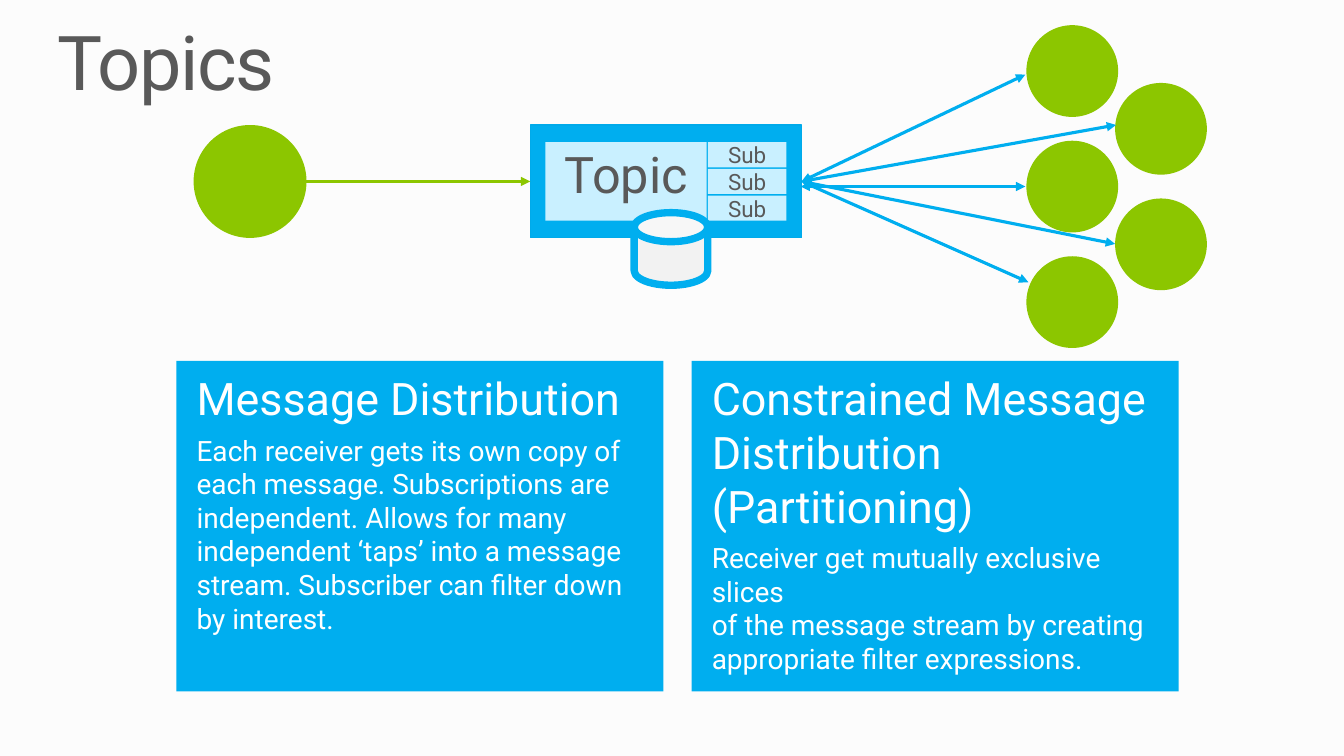
"""Build the Topics slide: a sender, a topic with subscriptions, and its receivers."""
from lxml import etree
from pptx import Presentation
from pptx.dml.color import RGBColor
from pptx.enum.shapes import MSO_CONNECTOR, MSO_SHAPE
from pptx.enum.text import MSO_ANCHOR, MSO_AUTO_SIZE, PP_ALIGN
from pptx.oxml.ns import qn
from pptx.util import Inches, Pt

RECT, OVAL, CAN = MSO_SHAPE.RECTANGLE, MSO_SHAPE.OVAL, MSO_SHAPE.CAN
STRAIGHT = MSO_CONNECTOR.STRAIGHT
LEFT, CENTER = PP_ALIGN.LEFT, PP_ALIGN.CENTER
TOP, MIDDLE = MSO_ANCHOR.TOP, MSO_ANCHOR.MIDDLE
LEFT_SIDE, RIGHT_SIDE = 1, 3

FONT = "Roboto"
BLUE, PALE, GREEN = "00AEEF", "C9F0FF", "8CC600"
GRAY, WHITE, PAPER, STORE = "595959", "FFFFFF", "FCFCFC", "F2F2F2"

TITLE = "Topics"
TOPIC = "Topic"
SUBSCRIPTIONS = ["Sub", "Sub", "Sub"]
CARDS = [
    ("Message Distribution",
     "Each receiver gets its own copy of each message. Subscriptions are independent. "
     "Allows for many independent ‘taps’ into a message stream. "
     "Subscriber can filter down by interest."),
    ("Constrained Message Distribution (Partitioning)",
     "Receiver get mutually exclusive slices \vof the message stream by creating "
     "appropriate filter expressions."),
]

TOPIC_BOX = (5.26, 1.24, 2.69, 1.12)
SENDER = (1.92, 1.24, 1.12, 1.12)
FLOW_Y = 1.8
RECEIVER_SIZE = 0.91
RECEIVER_COLUMNS = (10.18, 11.06)
RECEIVER_TOP, RECEIVER_STEP = 0.25, 0.573
ARROW_TIPS = [(10.17, 0.74), (11.07, 1.24), (10.17, 1.85), (11.06, 2.42), (10.2, 2.8)]
LEVEL_ARROW = 2
SUB_LEFT, SUB_TOP, SUB_STEP = 7.02, 1.41, 0.265
CARD_LEFT, CARD_TOP, CARD_STEP = 1.75, 3.58, 5.11


def color(value):
    return RGBColor.from_string(value)


def add_box(page, kind, place, fill, outline=None, width=0.75):
    box = page.shapes.add_shape(kind, *map(Inches, place))
    box.shadow.inherit = False
    box.fill.solid()
    box.fill.fore_color.rgb = color(fill)
    if outline:
        box.line.color.rgb = color(outline)
        box.line.width = Pt(width)
    else:
        box.line.fill.background()
    return box


def set_frame(shape, insets, anchor):
    frame = shape.text_frame
    frame.word_wrap = True
    frame.auto_size = MSO_AUTO_SIZE.NONE
    frame.vertical_anchor = anchor
    frame.margin_left, frame.margin_top, frame.margin_right, frame.margin_bottom = map(
        Inches, insets)
    return frame


def style(para, size, tint, align):
    para.alignment = align
    for span in para.runs:
        span.font.name = FONT
        span.font.size = Pt(size)
        span.font.color.rgb = color(tint)


def write(shape, text, size, tint, align, insets, anchor):
    frame = set_frame(shape, insets, anchor)
    frame.text = text
    style(frame.paragraphs[0], size, tint, align)


def add_arrow(page, start, end, tint, ends):
    arrow = page.shapes.add_connector(STRAIGHT, *map(Inches, start + end))
    arrow.line.color.rgb = color(tint)
    arrow.line.width = Pt(2.25)
    outline = arrow.line._get_or_add_ln()
    for end_name in ends:
        etree.SubElement(outline, qn(f"a:{end_name}"), type="triangle")
    etree.SubElement(arrow._element.spPr, qn("a:effectLst"))
    return arrow


def add_title(page):
    title = page.shapes.title
    title.left, title.top, title.width, title.height = map(Inches, (0.57, 0.25, 12.19, 0.82))
    write(title, TITLE, 54, GRAY, LEFT, (0, 0, 0, 0), TOP)
    para = title.text_frame.paragraphs[0]
    para.line_spacing = 0.9
    para.runs[0].font._element.set("spc", "-100")


def add_receivers(page):
    for index in range(len(ARROW_TIPS)):
        left = RECEIVER_COLUMNS[index % 2]
        top = RECEIVER_TOP + index * RECEIVER_STEP
        add_box(page, OVAL, (left, top, RECEIVER_SIZE, RECEIVER_SIZE), GREEN)


def add_topic(page):
    arrows = []
    for index, tip in enumerate(ARROW_TIPS):
        start = (7.94, tip[1] if index == LEVEL_ARROW else FLOW_Y)
        arrows.append(add_arrow(page, start, tip, BLUE, ("headEnd", "tailEnd")))
    topic = add_box(page, RECT, TOPIC_BOX, BLUE, "00AAEA")
    for index, arrow in enumerate(arrows):
        if index != LEVEL_ARROW:
            arrow.begin_connect(topic, RIGHT_SIDE)

    label = add_box(page, RECT, (5.41, SUB_TOP, 1.6, 0.78), PALE)
    write(label, TOPIC, 36, GRAY, CENTER, (0.1, 0.05, 0.1, 0.2), MIDDLE)

    add_box(page, OVAL, SENDER, GREEN)
    inflow = add_arrow(page, (SENDER[0] + SENDER[2], FLOW_Y), (TOPIC_BOX[0], FLOW_Y),
                       GREEN, ("tailEnd",))
    inflow.end_connect(topic, LEFT_SIDE)

    for row, name in enumerate(SUBSCRIPTIONS):
        cell = add_box(page, RECT, (SUB_LEFT, SUB_TOP + row * SUB_STEP, 0.78, 0.25), PALE)
        write(cell, name, 16, GRAY, CENTER, (0.1, 0, 0.1, 0), MIDDLE)

    store = add_box(page, CAN, (6.29, 2.11, 0.73, 0.72), STORE, BLUE, 5.25)
    store.adjustments[0] = 0.4


def add_cards(page):
    for column, (heading, body) in enumerate(CARDS):
        place = (CARD_LEFT + column * CARD_STEP, CARD_TOP, 4.83, 3.28)
        card = add_box(page, RECT, place, BLUE)
        write(card, heading, 32, WHITE, LEFT, (0.2, 0.1, 0.1, 0), TOP)
        card.text_frame.paragraphs[0].space_after = Pt(6)
        para = card.text_frame.add_paragraph()
        para.text = body
        style(para, 20, WHITE, LEFT)


def main():
    deck = Presentation()
    deck.slide_width, deck.slide_height = Inches(13.33), Inches(7.5)
    page = deck.slides.add_slide(deck.slide_layouts[5])
    page.background.fill.solid()
    page.background.fill.fore_color.rgb = color(PAPER)
    add_title(page)
    add_receivers(page)
    add_topic(page)
    add_cards(page)
    deck.save("out.pptx")


if __name__ == "__main__":
    main()
